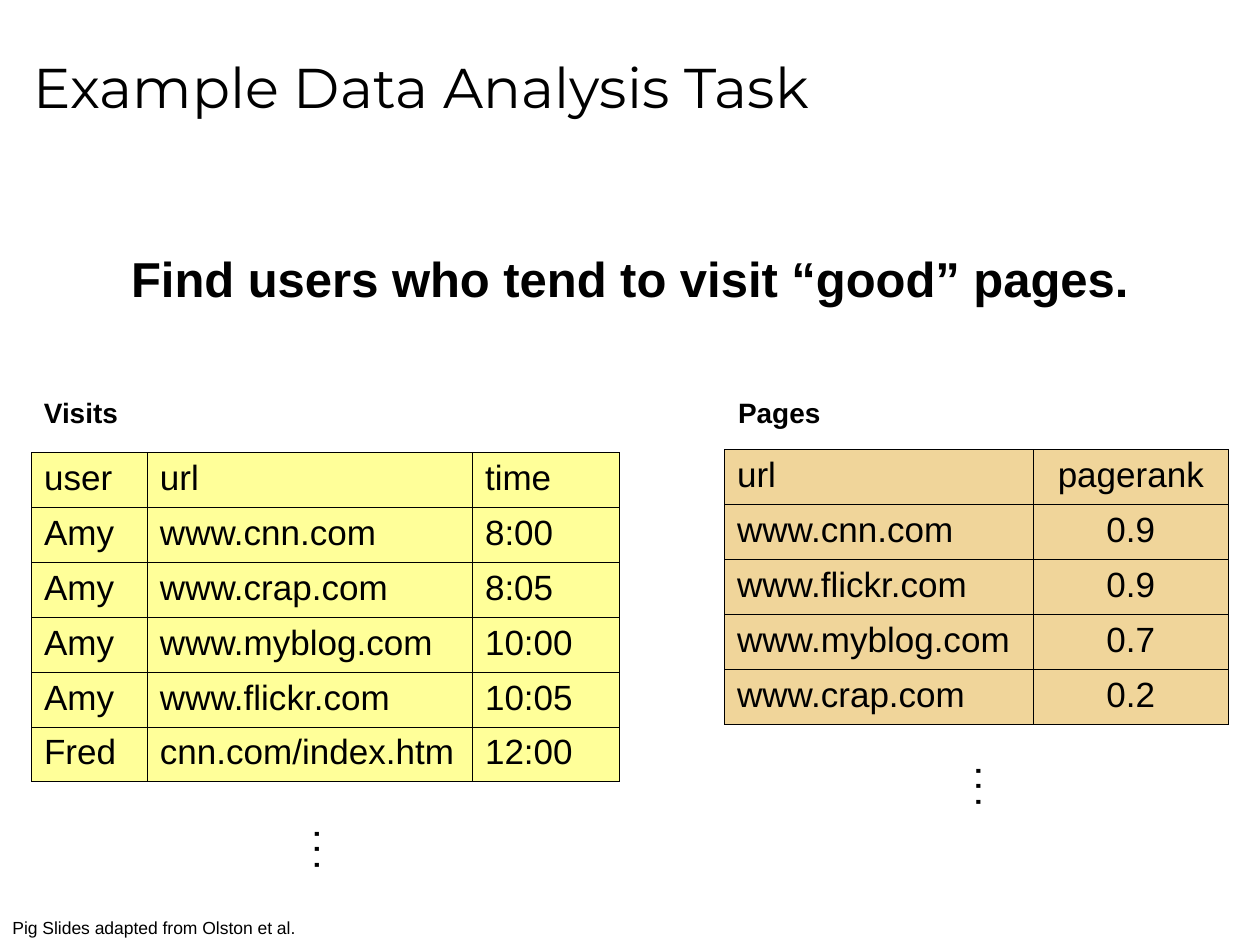
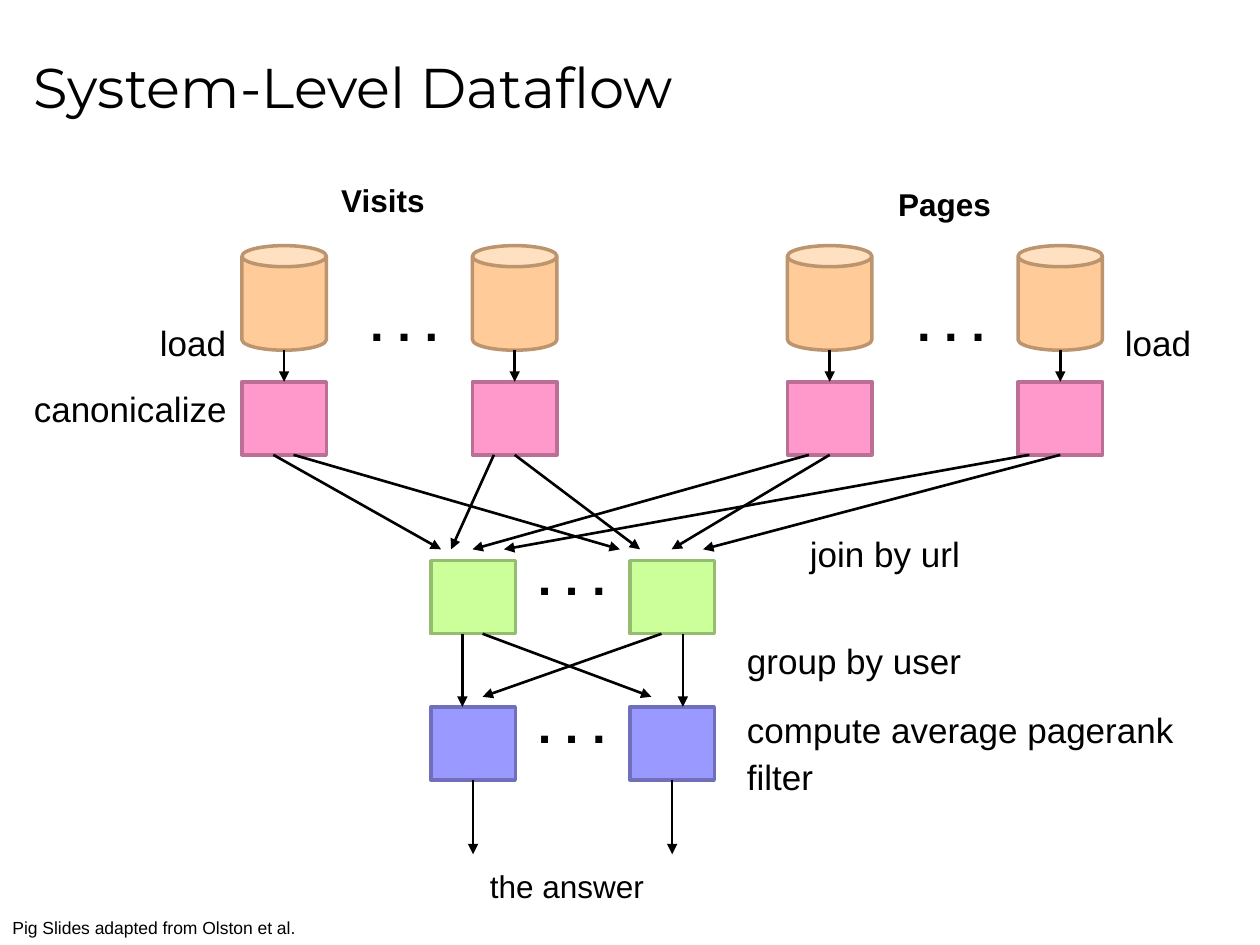
"""Build two slides on a data analysis task and its dataflow."""
import dataclasses

import lxml.etree
import pptx
import pptx.dml.color
import pptx.enum.shapes
import pptx.enum.text
import pptx.oxml.ns
import pptx.util

Inches = pptx.util.Inches
Pt = pptx.util.Pt
RGB = pptx.dml.color.RGBColor.from_string
Kind = pptx.enum.shapes.MSO_SHAPE
Align = pptx.enum.text.PP_ALIGN
Anchor = pptx.enum.text.MSO_ANCHOR
qn = pptx.oxml.ns.qn


@dataclasses.dataclass(frozen=True)
class Theme:
    head: str = "Montserrat"
    body: str = "Arial"
    ink: str = "000000"
    yellow: str = "FFFF99"
    tan: str = "F0D59A"
    peach: tuple = ("FFCC99", "BC956F")
    pink: tuple = ("FF99CC", "BC6F95")
    green: tuple = ("CCFF99", "95BC6F")
    blue: tuple = ("9999FF", "6F6FBC")
    title: int = 32
    large: int = 28
    text: int = 20
    label: int = 18
    small: int = 16
    foot: int = 10
    edge: float = 2
    arrow: float = 1.5
    rule: float = 0.45


theme = Theme()


def write(slide, text, place, size, bold=False, wrap=True, font=theme.body):
    box = slide.shapes.add_textbox(*map(Inches, place))
    frame = box.text_frame
    frame.text = text
    frame.word_wrap = wrap
    face = frame.paragraphs[0].runs[0].font
    face.name, face.size, face.bold = font, Pt(size), bold
    face.color.rgb = RGB(theme.ink)
    return box


def link(slide, start, end, first=None, last=None):
    line = slide.shapes.add_connector(
        pptx.enum.shapes.MSO_CONNECTOR.STRAIGHT, *map(Inches, start + end))
    if first is not None:
        line.begin_connect(first, 2)
    if last is not None:
        line.end_connect(last, 0)
    line.line.width = Pt(theme.arrow)
    line.line.color.rgb = RGB(theme.ink)
    props = line._element.spPr
    lxml.etree.SubElement(props.find(qn("a:ln")), qn("a:tailEnd"), type="triangle")
    lxml.etree.SubElement(props, qn("a:effectLst"))


deck = pptx.Presentation()
deck.slide_width, deck.slide_height = Inches(10), Inches(7.5)

slides = []
for title in ("Example Data Analysis Task", "System-Level Dataflow"):
    slide = deck.slides.add_slide(deck.slide_layouts[6])
    box = write(slide, title, (0.17, 0.12, 9.5, 1.12), theme.title, font=theme.head)
    box.text_frame.vertical_anchor = Anchor.MIDDLE
    write(slide, "Pig Slides adapted from Olston et al.", (0, 7.23, 3.75, 0.27), theme.foot)
    slides.append(slide)
task, flow = slides

goal = write(task, "Find users who tend to visit “good” pages.",
             (0, 1.92, 10, 0.57), theme.large, True)
goal.text_frame.paragraphs[0].alignment = Align.CENTER

visits = [
    ("user", "url", "time"),
    ("Amy", "www.cnn.com", "8:00"),
    ("Amy", "www.crap.com", "8:05"),
    ("Amy", "www.myblog.com", "10:00"),
    ("Amy", "www.flickr.com", "10:05"),
    ("Fred", "cnn.com/index.htm", "12:00"),
]
pages = [
    ("url", "pagerank"),
    ("www.cnn.com", "0.9"),
    ("www.flickr.com", "0.9"),
    ("www.myblog.com", "0.7"),
    ("www.crap.com", "0.2"),
]
tables = [
    (visits, 0.25, 3.59, (0.92, 2.58, 1.17), theme.yellow, None),
    (pages, 5.75, 3.57, (2.45, 1.55), theme.tan, 1),
]
high = 2.18 / len(pages)
for rows, left, top, widths, fill, middle in tables:
    table = task.shapes.add_table(
        len(rows), len(widths), Inches(left), Inches(top),
        Inches(sum(widths)), Inches(high * len(rows))).table
    table.first_row = table.horz_banding = False
    for column, width in zip(table.columns, widths):
        column.width = Inches(width)
    for r, row in enumerate(rows):
        table.rows[r].height = Inches(high)
        for c, text in enumerate(row):
            cell = table.cell(r, c)
            cell.text = text
            para = cell.text_frame.paragraphs[0]
            para.alignment = Align.CENTER if c == middle else Align.LEFT
            face = para.runs[0].font
            face.name, face.size = theme.body, Pt(theme.text)
            face.color.rgb = RGB(theme.ink)
            props = cell._tc.get_or_add_tcPr()
            for side in ("lnL", "lnR", "lnT", "lnB"):
                rule = lxml.etree.SubElement(
                    props, qn("a:" + side), w=str(Pt(theme.rule)))
                solid = lxml.etree.SubElement(rule, qn("a:solidFill"))
                lxml.etree.SubElement(solid, qn("a:srgbClr"), val=theme.ink)
            cell.fill.solid()
            cell.fill.fore_color.rgb = RGB(fill)

for text, left, width in (("Visits", 0.25, 0.82), ("Pages", 5.76, 0.88)):
    write(task, text, (left, 3.09, width, 0.37), theme.small, True, False)
for left, top in ((2.33, 6.56), (7.58, 6.06)):
    write(task, ". . .", (left, top, 0.51, 0.37), theme.small, True, False).rotation = 90

for left, top in ((2.84, 2.27), (7.18, 2.27), (4.17, 4.29), (4.17, 5.46)):
    write(flow, ". . .", (left, top, 0.74, 0.57), theme.large, True, False)

wide, tall = 0.67, 0.58
outer, inner = (1.92, 3.75, 6.25, 8.08), (3.42, 5)
layers = [
    (Kind.CAN, outer, 1.95, 0.83, theme.peach),
    (Kind.RECTANGLE, outer, 3.03, tall, theme.pink),
    (Kind.RECTANGLE, inner, 4.45, tall, theme.green),
    (Kind.RECTANGLE, inner, 5.61, tall, theme.blue),
]
nodes = []
for kind, lefts, top, height, (fill, edge) in layers:
    layer = []
    for left in lefts:
        node = flow.shapes.add_shape(
            kind, Inches(left), Inches(top), Inches(wide), Inches(height))
        node.shadow.inherit = False
        node.fill.solid()
        node.fill.fore_color.rgb = RGB(fill)
        node.line.color.rgb = RGB(edge)
        node.line.width = Pt(theme.edge)
        layer.append(node)
    nodes.append(layer)
cans, loads, joins, groups = nodes

for left, load in zip(outer, loads):
    x = left + wide / 2
    link(flow, (x, 2.78), (x, 3.03), last=load)
for start, end, load in (
    (2.17, 3.5, None), (2.33, 4.92, None),
    (3.92, 3.58, None), (4.08, 5.08, loads[1]),
    (6.42, 3.75, None), (6.58, 5.33, loads[2]),
    (8.17, 4, None), (8.42, 5.58, loads[3]),
):
    link(flow, (start, 3.61), (end, 4.36), load)
for start, end, low in (
    (3.67, 3.67, 5.61), (5.42, 5.42, 5.61), (5.25, 3.83, 5.53), (3.83, 5.17, 5.53),
):
    link(flow, (start, 5.03), (end, low))
for left, group in zip(inner, groups):
    x = left + wide / 2
    link(flow, (x, 6.19), (x, 6.78), group)

for text, left, top, width, bold in (
    ("Visits", 2.61, 1.39, 0.9, True),
    ("Pages", 7.03, 1.42, 1, True),
    ("the answer", 3.79, 6.83, 1.46, False),
):
    write(flow, text, (left, top, width, 0.4), theme.label, bold, False)
for text, left, top, width in (
    ("load", 1.17, 2.5, 0.83),
    ("load", 8.83, 2.5, 0.83),
    ("canonicalize", 0.17, 3.03, 2.33),
    ("join by url", 6.33, 4.18, 2.5),
    ("group by user", 5.83, 5.03, 2.5),
    ("compute average pagerank", 5.83, 5.57, 3.75),
    ("filter", 5.83, 5.95, 2.75),
):
    write(flow, text, (left, top, width, 0.44), theme.text)

deck.save("out.pptx")
